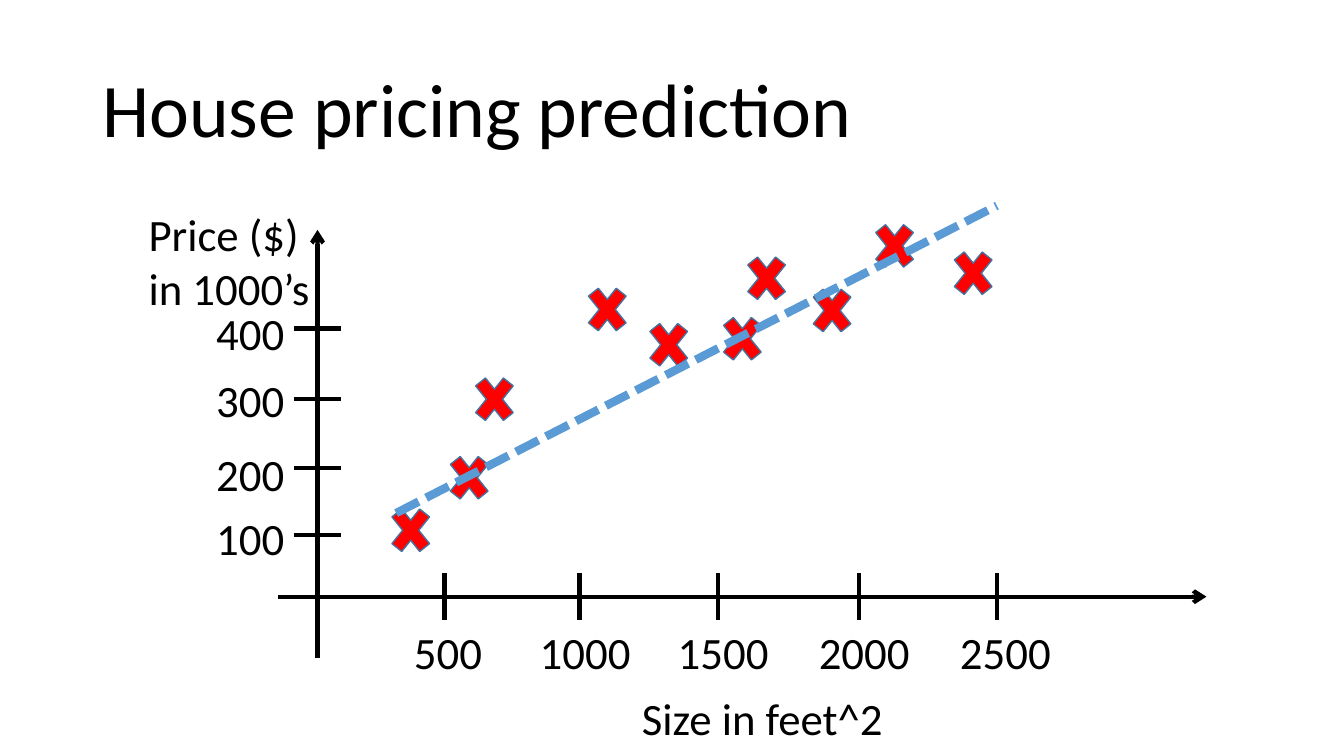
from lxml import etree
from pptx import Presentation
from pptx.dml.color import RGBColor
from pptx.enum.dml import MSO_LINE
from pptx.enum.shapes import MSO_CONNECTOR, MSO_SHAPE
from pptx.enum.text import MSO_ANCHOR, PP_ALIGN
from pptx.oxml.ns import qn
from pptx.util import Pt

STRAIGHT = MSO_CONNECTOR.STRAIGHT
CROSS = MSO_SHAPE.MATH_MULTIPLY
MIDDLE = MSO_ANCHOR.MIDDLE
LEFT, CENTER = PP_ALIGN.LEFT, PP_ALIGN.CENTER
DASH = MSO_LINE.SQUARE_DOT

BLACK = RGBColor(0x00, 0x00, 0x00)
RED = RGBColor(0xFF, 0x00, 0x00)
MARKER_EDGE = RGBColor(0x43, 0x73, 0x9E)
TREND_BLUE = RGBColor(0x5B, 0x9B, 0xD5)
FONT = "Calibri"

# Offsets in points from the top left corner of the graph
Y_AXIS_X, X_AXIS_Y = 127.8, 282.2
TICK_HALF = 16.8
LABEL_HEIGHT = 46
MARKER_WIDTH, MARKER_HEIGHT = 38.2, 47.5
# Label, tick position, label centre
X_TICKS = [("500", 218.5, 221), ("1000", 315, 319), ("1500", 413.6, 417.6),
           ("2000", 514.4, 518.4), ("2500", 613.1, 619.2)]
# Label, tick position, label top
Y_TICKS = [("100", 238.3, 217.4), ("200", 190.1, 171.4),
           ("300", 141.1, 118.8), ("400", 90.7, 70.6)]
HOUSES = [(194.4, 234.8), (254.2, 141.2), (334.8, 77.1), (378.7, 102.3),
          (448.6, 54.8), (495.4, 77.8), (431.3, 98), (540, 31.7),
          (596.2, 51.2), (236.2, 197.3)]


def add_text(slide, text, left, top, width, height, size=32, align=LEFT, wrap=False):
    box = slide.shapes.add_textbox(Pt(left), Pt(top), Pt(width), Pt(height))
    frame = box.text_frame
    frame.word_wrap = wrap
    frame.text = text
    paragraph = frame.paragraphs[0]
    paragraph.alignment = align
    for run in paragraph.runs:
        run.font.name = FONT
        run.font.size = Pt(size)
        run.font.color.rgb = BLACK
    return frame


def add_line(slide, x1, y1, x2, y2, color=BLACK, width=3, arrow=False):
    line = slide.shapes.add_connector(STRAIGHT, Pt(x1), Pt(y1), Pt(x2), Pt(y2))
    line.line.color.rgb = color
    line.line.width = Pt(width)
    if arrow:
        etree.SubElement(line.line._get_or_add_ln(), qn("a:tailEnd"), type="arrow")
    etree.SubElement(line._element.spPr, qn("a:effectLst"))
    return line


def add_title(slide, left, top, width, height):
    frame = add_text(slide, "House pricing prediction", left, top, width, height,
                     size=54, wrap=True)
    frame.vertical_anchor = MIDDLE
    frame.paragraphs[0].line_spacing = 0.9


def add_axes(slide, left, top, width, height):
    axis_x, axis_y = left + Y_AXIS_X, top + X_AXIS_Y
    add_line(slide, axis_x, top + 326.2, axis_x, top + 20.2, arrow=True)
    add_line(slide, left + 99.7, axis_y, left + width, axis_y, arrow=True)

    # Size ticks
    for label, position, center in X_TICKS:
        x = left + position
        add_line(slide, x, axis_y - TICK_HALF, x, axis_y + TICK_HALF)
        add_text(slide, label, left + center - 40, axis_y + TICK_HALF,
                 80, LABEL_HEIGHT, align=CENTER)

    # Price ticks
    for label, position, label_top in Y_TICKS:
        y = top + position
        add_line(slide, axis_x - TICK_HALF, y, axis_x + TICK_HALF, y)
        add_text(slide, label, axis_x - 80, top + label_top,
                 64, LABEL_HEIGHT, align=CENTER)

    # Axis titles
    add_text(slide, "Price ($)\vin 1000’s", left, top, 131, 85)
    add_text(slide, "Size in feet^2", left + 352.4, top + height - LABEL_HEIGHT,
             188.6, LABEL_HEIGHT)


def add_graph(slide, left, top, width, height):
    add_axes(slide, left, top, width, height)

    # House markers
    for x, y in HOUSES:
        marker = slide.shapes.add_shape(
            CROSS, Pt(left + x - MARKER_WIDTH / 2), Pt(top + y - MARKER_HEIGHT / 2),
            Pt(MARKER_WIDTH), Pt(MARKER_HEIGHT))
        marker.shadow.inherit = False
        marker.fill.solid()
        marker.fill.fore_color.rgb = RED
        marker.line.color.rgb = MARKER_EDGE
        marker.line.width = Pt(1)

    # Trend line
    trend = add_line(slide, left + 184, top + 222.5, left + 613.1, top + 2.9,
                     TREND_BLUE, 6)
    trend.line.dash_style = DASH


def main():
    presentation = Presentation()
    presentation.slide_width = Pt(960)
    presentation.slide_height = Pt(540)
    slide = presentation.slides.add_slide(presentation.slide_layouts[6])
    add_title(slide, 66, 28.8, 828, 104.4)
    add_graph(slide, 99, 144, 762.8, 391.6)
    presentation.save("out.pptx")


if __name__ == "__main__":
    main()
